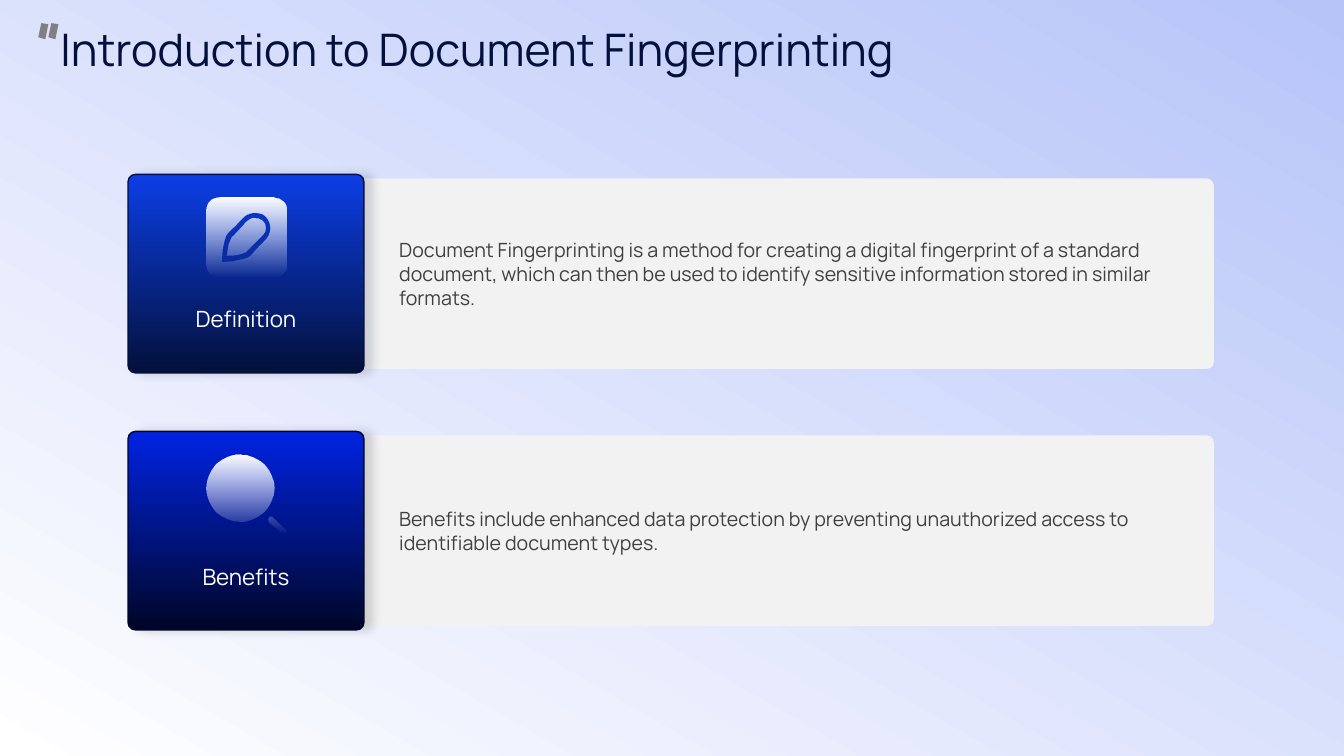
from dataclasses import dataclass

from lxml import etree
from pptx import Presentation
from pptx.dml.color import RGBColor
from pptx.enum.shapes import MSO_SHAPE
from pptx.enum.text import MSO_ANCHOR, PP_ALIGN
from pptx.oxml.ns import qn
from pptx.shapes.autoshape import Shape
from pptx.slide import Slide
from pptx.util import Emu, Pt

RECTANGLE = MSO_SHAPE.RECTANGLE
ROUNDED = MSO_SHAPE.ROUNDED_RECTANGLE
MIDDLE = MSO_ANCHOR.MIDDLE
LEFT, CENTER = PP_ALIGN.LEFT, PP_ALIGN.CENTER

EMU_PER_PX = 9144  # 100 px to the inch
SLIDE_WIDTH, SLIDE_HEIGHT = 1333, 750
ROW_TOP, ROW_PITCH = 177, 255
CORNER = 0.038
FONT = "Manrope"
COLORS = {
    "sky": "B6C4F8",
    "white": "FFFFFF",
    "panel": "F2F2F2",
    "navy": "03103B",
    "blue": "0C3EE6",
    "midnight": "000627",
    "royal": "0023E3",
    "navy shadow": "040E32",
    "midnight shadow": "000314",
    "body": "404040",
    "mark": "808080",
}

Segment = tuple[int, ...]  # x, y for a line or start; three points for a curve
Contour = list[Segment]

PENCIL_TILE: list[Contour] = [
    [(47, 20), (50, 20, 53, 21, 55, 23), (59, 27, 59, 33, 55, 37), (39, 53),
     (37, 55, 29, 57, 20, 57), (21, 49, 23, 41, 25, 39), (40, 23),
     (42, 21, 45, 20, 47, 20)],
    [(47, 15), (44, 15, 40, 16, 37, 19), (21, 35), (15, 41, 15, 63, 15, 63),
     (15, 63, 37, 63, 43, 57), (58, 41), (64, 35, 64, 25, 58, 19),
     (55, 16, 51, 15, 47, 15)],
    [(13, 0), (66, 0), (73, 0, 79, 5, 79, 13), (79, 66), (79, 73, 73, 79, 66, 79),
     (13, 79), (5, 79, 0, 73, 0, 66), (0, 13), (0, 5, 5, 0, 13, 0)],
]
MAGNIFIER: list[Contour] = [
    [(63, 61), (64, 61, 65, 61, 65, 62), (78, 74), (79, 75, 79, 77, 78, 78),
     (77, 79, 77, 79, 76, 79), (75, 79, 74, 79, 74, 78), (61, 66),
     (60, 64, 60, 63, 61, 62), (62, 61, 62, 61, 63, 61)],
    [(33, 0), (51, 0, 66, 15, 66, 33), (66, 51, 51, 66, 33, 66),
     (15, 66, 0, 51, 0, 33), (0, 15, 15, 0, 33, 0)],
]
QUOTE_MARK: list[Contour] = [
    [(left + 3, 0), (left + 10, 1), (left + 7, 16), (left, 14)] for left in (10, 0)
]


@dataclass(frozen=True)
class Box:
    left: int
    top: int
    width: int
    height: int

    def emu(self) -> list[Emu]:
        return [px(n) for n in (self.left, self.top, self.width, self.height)]


@dataclass(frozen=True)
class Card:
    label: str
    description: str
    icon: list[Contour]
    dark: str
    light: str
    shadow: str


CARDS = [
    Card(
        "Definition",
        "Document Fingerprinting is a method for creating a digital fingerprint of a "
        "standard document, which can then be used to identify sensitive information "
        "stored in similar formats.",
        PENCIL_TILE, "navy", "blue", "navy shadow",
    ),
    Card(
        "Benefits",
        "Benefits include enhanced data protection by preventing unauthorized access "
        "to identifiable document types.",
        MAGNIFIER, "midnight", "royal", "midnight shadow",
    ),
]


def px(length: int) -> Emu:
    return Emu(length * EMU_PER_PX)


def rgb(color: str) -> RGBColor:
    return RGBColor.from_string(COLORS[color])


def fill_solid(shape: Shape, color: str) -> None:
    shape.fill.solid()
    shape.fill.fore_color.rgb = rgb(color)


def fill_gradient(shape: Shape, first: str, last: str, angle: int) -> None:
    """Fill from first to last along an angle counted counter-clockwise."""
    shape.fill.gradient()
    shape.fill.gradient_angle = angle
    for stop, color in zip(shape.fill.gradient_stops, (first, last)):
        stop.color.rgb = rgb(color)


def add_shadow(shape: Shape, color: str) -> None:
    effects = shape._element.spPr.find(qn("a:effectLst"))
    shadow = etree.SubElement(
        effects, qn("a:outerShdw"), blurRad=str(Pt(7)), dist=str(Pt(6)), dir="0",
        algn="l", rotWithShape="0",
    )
    tint = etree.SubElement(shadow, qn("a:srgbClr"), val=COLORS[color])
    etree.SubElement(tint, qn("a:alpha"), val="14000")


def add_preset(slide: Slide, kind: MSO_SHAPE, box: Box) -> Shape:
    shape = slide.shapes.add_shape(kind, *box.emu())
    if kind == ROUNDED:
        shape.adjustments[0] = CORNER
    shape.shadow.inherit = False
    shape.line.fill.background()
    return shape


def bend_segments(shape: Shape, contours: list[Contour], left: int, top: int) -> None:
    """Turn the straight segments that have control points into cubic curves."""
    nodes = list(shape._element.spPr.iter(qn("a:moveTo"), qn("a:lnTo")))
    segments = [segment for contour in contours for segment in contour]
    for node, segment in zip(nodes, segments):
        if len(segment) == 2:
            continue
        curve = etree.Element(qn("a:cubicBezTo"))
        for x, y in zip(segment[::2], segment[1::2]):
            etree.SubElement(
                curve, qn("a:pt"),
                x=str(px(left + x) - shape.left), y=str(px(top + y) - shape.top),
            )
        node.getparent().replace(node, curve)


def add_outline(slide: Slide, contours: list[Contour], left: int, top: int) -> Shape:
    corners = [
        [(px(left + segment[-2]), px(top + segment[-1])) for segment in contour]
        for contour in contours
    ]
    builder = slide.shapes.build_freeform(*corners[0][0])
    builder.add_line_segments(corners[0][1:], close=True)
    for start, *others in corners[1:]:
        builder.move_to(*start)
        builder.add_line_segments(others, close=True)
    shape = builder.convert_to_shape()
    bend_segments(shape, contours, left, top)
    shape.shadow.inherit = False
    shape.line.fill.background()
    return shape


def add_text(
    slide: Slide, box: Box, text: str, size: int, color: str, alignment: PP_ALIGN = LEFT
) -> None:
    frame = slide.shapes.add_textbox(*box.emu()).text_frame
    frame.word_wrap = True
    frame.vertical_anchor = MIDDLE
    frame.margin_left = frame.margin_right = frame.margin_top = frame.margin_bottom = 0
    paragraph = frame.paragraphs[0]
    paragraph.alignment = alignment
    run = paragraph.add_run()
    run.text = text
    run.font.name = FONT
    run.font.size = Pt(size)
    run.font.color.rgb = rgb(color)


def add_card(slide: Slide, card: Card, top: int) -> None:
    fill_solid(add_preset(slide, ROUNDED, Box(127, top, 1077, 189)), "panel")

    tile = add_preset(slide, ROUNDED, Box(127, top - 4, 234, 197))
    fill_gradient(tile, card.dark, card.light, 90)
    tile.line.color.rgb = rgb(card.dark)
    tile.line.width = Pt(1)
    add_shadow(tile, card.shadow)

    icon = add_outline(slide, card.icon, 205, top + 19)
    fill_gradient(icon, "white", "white", 90)
    clear_stop = next(icon._element.spPr.iter(qn("a:srgbClr")))
    etree.SubElement(clear_stop, qn("a:alpha"), val="0")

    add_text(slide, Box(141, top + 97, 206, 85), card.label, 16, "white", CENTER)
    add_text(slide, Box(396, top + 10, 770, 169), card.description, 14, "body")


def main() -> None:
    presentation = Presentation()
    presentation.slide_width, presentation.slide_height = px(SLIDE_WIDTH), px(SLIDE_HEIGHT)
    slide = presentation.slides.add_slide(presentation.slide_layouts[6])

    backdrop = add_preset(slide, RECTANGLE, Box(0, 0, SLIDE_WIDTH, SLIDE_HEIGHT))
    fill_gradient(backdrop, "sky", "white", 240)
    for row, card in enumerate(CARDS):
        add_card(slide, card, ROW_TOP + row * ROW_PITCH)
    title = "Introduction to Document Fingerprinting"
    add_text(slide, Box(60, 25, 1098, 47), title, 32, "navy")
    fill_solid(add_outline(slide, QUOTE_MARK, 38, 23), "mark")

    presentation.save("out.pptx")


if __name__ == "__main__":
    main()
